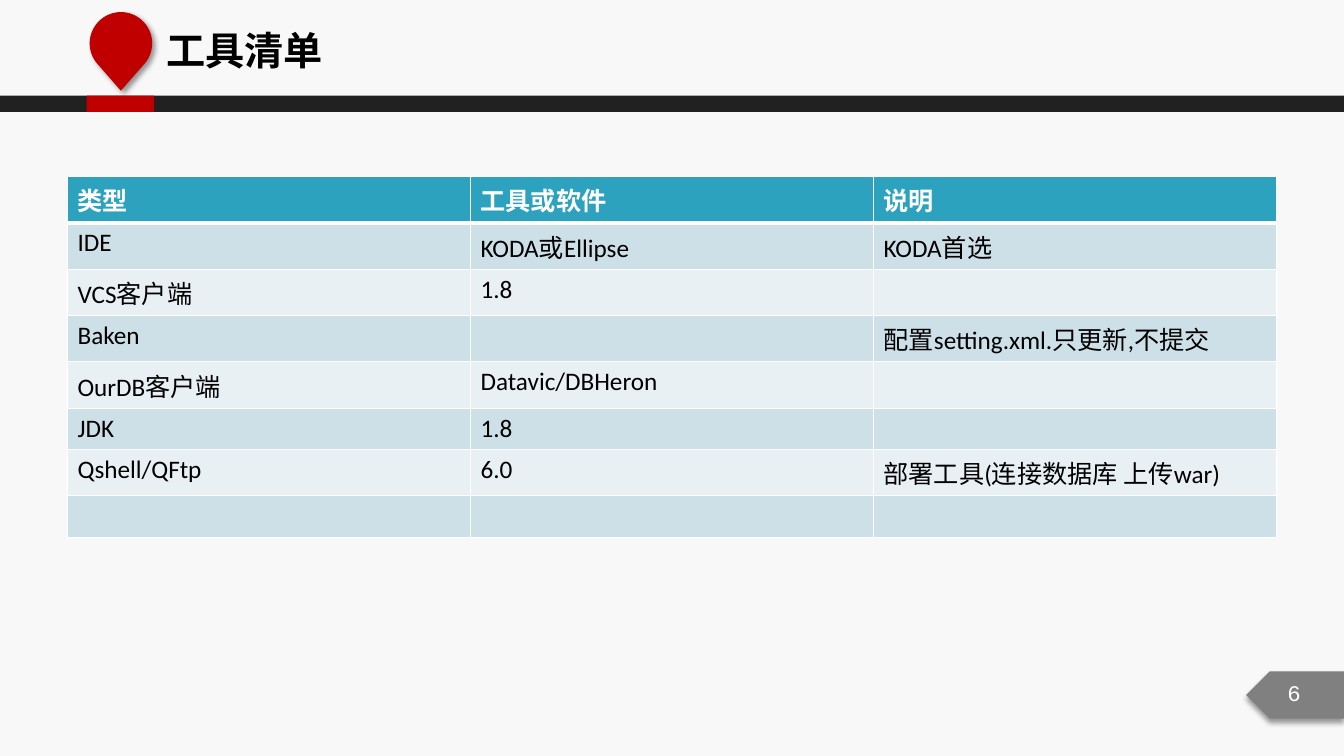
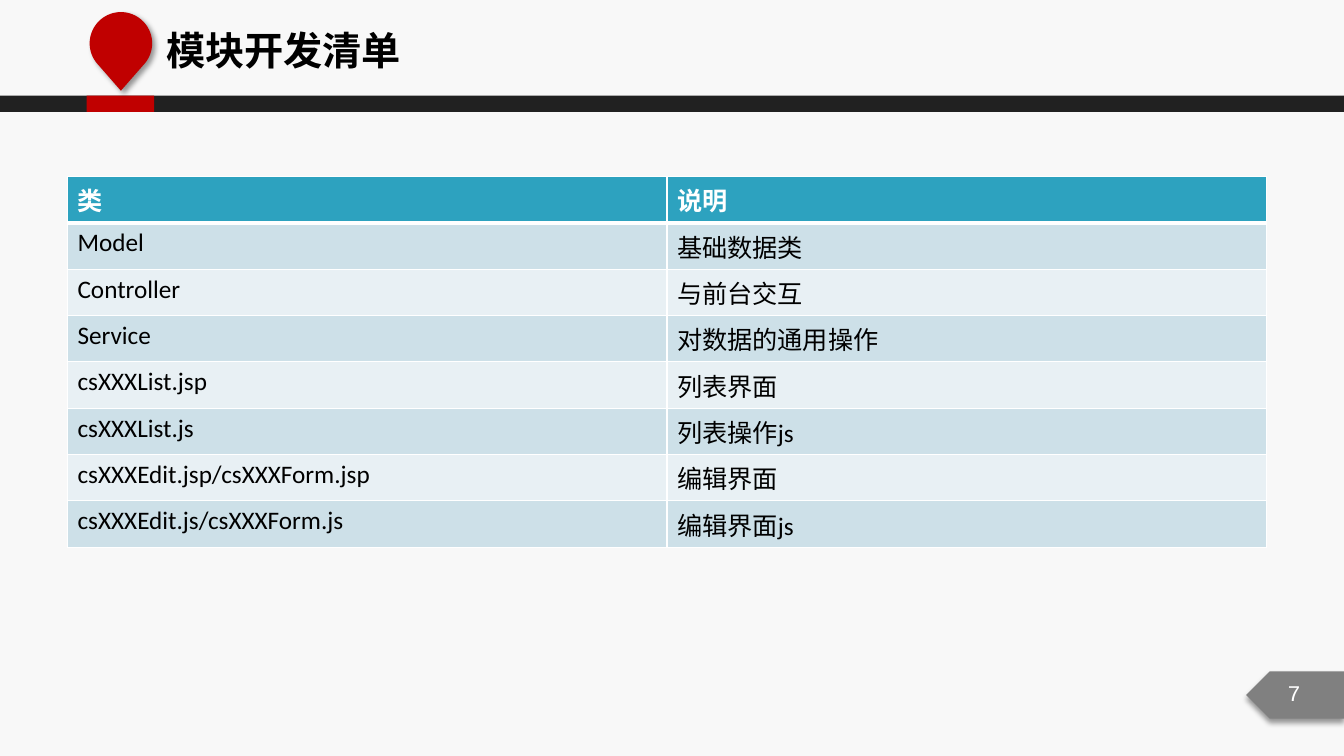
import math

import pptx
import pptx.dml.color
import pptx.enum.shapes
import pptx.enum.text
import pptx.oxml
import pptx.oxml.ns
import pptx.util
from lxml import etree

W, H = 13.34, 7.5
BG, DARK, RED, GREY = "F8F8F8", "212121", "C00000", "808080"
WHITE, BLACK = "FFFFFF", "000000"
HEADER, BANDS = "2DA2BF", ("CDE0E8", "E8F0F4")
CJK, BODY, MONO = "Noto Sans CJK SC", "Calibri", "Courier New"
MARGIN, TABLE_TOP = 0.67, 1.75
LATIN_ROW, CJK_ROW = 0.41, 0.46
FIRST_NUMBER = 6

SHAPES = pptx.enum.shapes.MSO_SHAPE
ALIGN = pptx.enum.text.PP_ALIGN
ANCHOR = pptx.enum.text.MSO_ANCHOR
qn = pptx.oxml.ns.qn
inch = pptx.util.Inches

SLIDES = [
    ("工具清单", 12, [
        ("类型", "工具或软件", "说明"),
        ("IDE", "KODA或Ellipse", "KODA首选"),
        ("VCS客户端", "1.8", ""),
        ("Baken", "", "配置setting.xml.只更新,不提交"),
        ("OurDB客户端", "Datavic/DBHeron", ""),
        ("JDK", "1.8", ""),
        ("Qshell/QFtp", "6.0", "部署工具(连接数据库 上传war)"),
        ("", "", ""),
    ]),
    ("模块开发清单", 11.9, [
        ("类", "说明"),
        ("Model", "基础数据类"),
        ("Controller", "与前台交互"),
        ("Service", "对数据的通用操作"),
        ("csXXXList.jsp", "列表界面"),
        ("csXXXList.js", "列表操作js"),
        ("csXXXEdit.jsp/csXXXForm.jsp", "编辑界面"),
        ("csXXXEdit.js/csXXXForm.js", "编辑界面js"),
    ]),
]


def rgb(value):
    return pptx.dml.color.RGBColor.from_string(value)


def write(tf, text, size=18, font=BODY, color=BLACK, bold=False, align=ALIGN.LEFT):
    """Put one formatted run into a text frame."""
    p = tf.paragraphs[0]
    p.alignment = align
    r = p.add_run()
    r.text = text
    r.font.size = pptx.util.Pt(size)
    r.font.name = font
    r.font.bold = bold
    r.font.color.rgb = rgb(color)
    # East Asian characters take their own typeface
    latin = r._r.get_or_add_rPr().find(qn("a:latin"))
    ea = pptx.oxml.parse_xml(
        f'<a:ea {pptx.oxml.ns.nsdecls("a")} typeface="{CJK}"/>')
    latin.addnext(ea)


def paint(sp, color, shadow_angle=None):
    """Fill a shape without outline; a shadow falls at the given angle."""
    sp.fill.solid()
    sp.fill.fore_color.rgb = rgb(color)
    sp.line.fill.background()
    sp.shadow.inherit = False
    if shadow_angle is not None:
        effects = sp.element.spPr.find(qn("a:effectLst"))
        shadow = etree.SubElement(
            effects, qn("a:outerShdw"), blurRad=str(pptx.util.Pt(4)),
            dist=str(pptx.util.Pt(3)), dir=str(shadow_angle * 60000), rotWithShape="0")
        tint = etree.SubElement(shadow, qn("a:srgbClr"), val=BLACK)
        etree.SubElement(tint, qn("a:alpha"), val="40000")


def add_box(slide, kind, box, color, shadow_angle=None):
    sp = slide.shapes.add_shape(kind, *map(inch, box))
    paint(sp, color, shadow_angle)
    return sp


def add_pin(slide, cx, cy, radius, tip):
    """Draw a map pin: three quarters of a circle closed by a point."""
    angles = [math.radians(a) for a in range(135, 406, 5)]
    arc = [(inch(cx + radius * math.cos(a)), inch(cy + radius * math.sin(a)))
           for a in angles]
    outline = slide.shapes.build_freeform(inch(cx), inch(tip))
    outline.add_line_segments(arc, close=True)
    paint(outline.convert_to_shape(), RED, 45)


def add_frame(slide, title, number):
    """Add what all slides share: band, pin, title and page number."""
    add_box(slide, SHAPES.RECTANGLE, (0, 0.95, W, 0.16), DARK)
    add_box(slide, SHAPES.RECTANGLE, (0.86, 0.95, 0.67, 0.16), RED)
    add_pin(slide, 1.2, 0.43, 0.31, 0.9)

    tag = add_box(slide, SHAPES.PENTAGON, (W - 0.97, 6.66, 0.97, 0.47), GREY, 90)
    tag.element.spPr.find(qn("a:xfrm")).set("flipH", "1")
    page = slide.shapes.add_textbox(*map(inch, (12.55, 6.69, 0.59, 0.37)))
    page.text_frame.word_wrap = True
    write(page.text_frame, str(number), size=16, font=MONO, color=WHITE, align=ALIGN.CENTER)

    sp = slide.shapes.title
    sp.left, sp.top, sp.width, sp.height = map(inch, (1.55, 0.21, 7.16, 0.94))
    tf = sp.text_frame
    tf.auto_size = pptx.enum.text.MSO_AUTO_SIZE.NONE
    tf.vertical_anchor = ANCHOR.TOP
    write(tf, title, size=28, font=CJK, bold=True)


def set_borders(cell, **widths):
    """Give each side of a cell a white line of its width in points."""
    tcPr = cell._tc.get_or_add_tcPr()
    for side in "LRTB":
        width = pptx.util.Pt(widths.get(side, 1))
        ln = etree.SubElement(tcPr, qn("a:ln" + side), w=str(width))
        fill = etree.SubElement(ln, qn("a:solidFill"))
        etree.SubElement(fill, qn("a:srgbClr"), val=WHITE)


def row_height(row):
    """Rows with Chinese text need the taller line."""
    return LATIN_ROW if "".join(row).isascii() else CJK_ROW


def add_grid(slide, rows, width):
    """Add a table with equal columns, a header row and banded rows."""
    heights = [row_height(row) for row in rows]
    box = (MARGIN, TABLE_TOP, width, sum(heights))
    table = slide.shapes.add_table(len(rows), len(rows[0]), *map(inch, box)).table
    for i, row in enumerate(rows):
        table.rows[i].height = inch(heights[i])
        header = i == 0
        # The rule under the header is thicker
        edges = {0: {"B": 3}, 1: {"T": 3}}.get(i, {})
        for j, text in enumerate(row):
            cell = table.cell(i, j)
            set_borders(cell, **edges)
            cell.fill.solid()
            cell.fill.fore_color.rgb = rgb(HEADER if header else BANDS[(i - 1) % 2])
            if text:
                write(cell.text_frame, text, color=WHITE if header else BLACK, bold=header)


def main():
    prs = pptx.Presentation()
    prs.slide_width, prs.slide_height = inch(W), inch(H)
    background = prs.slide_master.background.fill
    background.solid()
    background.fore_color.rgb = rgb(BG)
    title_only = prs.slide_layouts[5]
    for number, (title, width, rows) in enumerate(SLIDES, FIRST_NUMBER):
        slide = prs.slides.add_slide(title_only)
        add_frame(slide, title, number)
        add_grid(slide, rows, width)
    prs.save("out.pptx")


if __name__ == "__main__":
    main()
